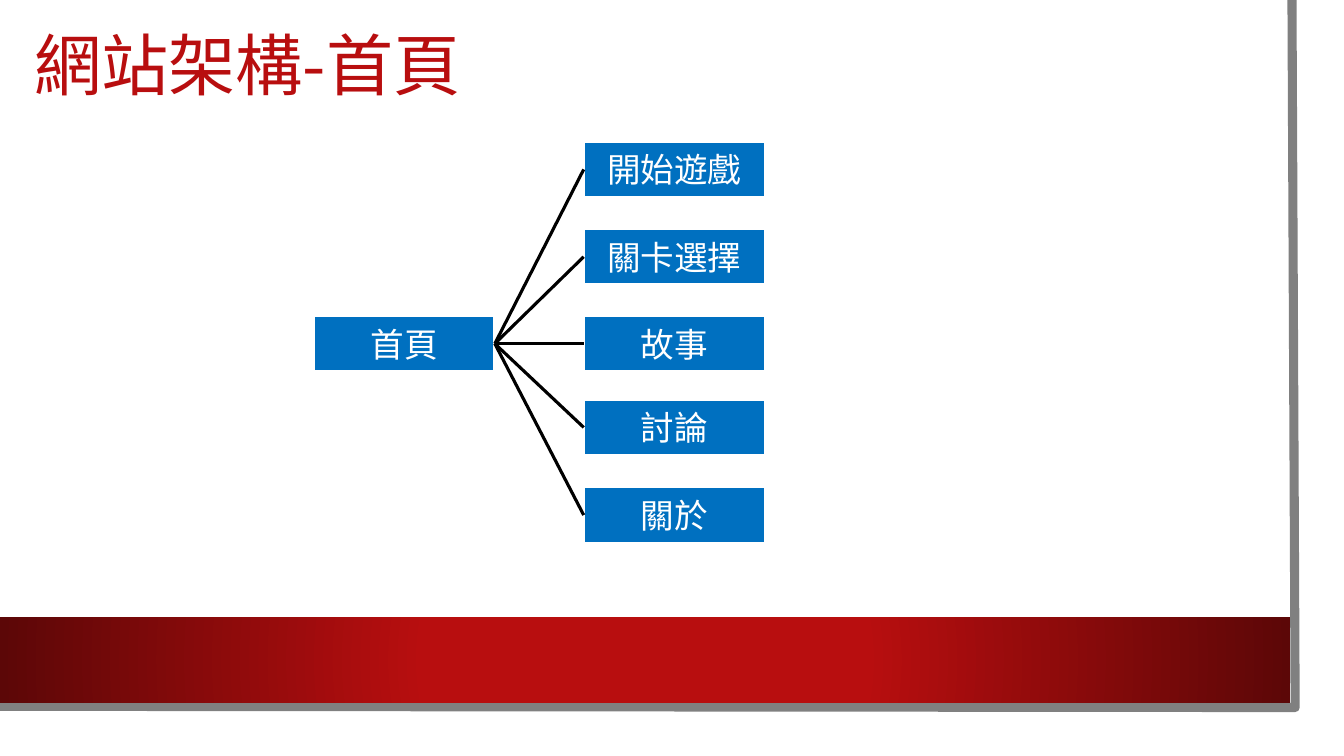
from lxml.etree import SubElement
from pptx import Presentation
from pptx.dml.color import RGBColor
from pptx.enum.shapes import MSO_CONNECTOR, MSO_SHAPE
from pptx.enum.text import MSO_ANCHOR, PP_ALIGN
from pptx.oxml.ns import qn
from pptx.util import Cm, Pt

COLORS = {
    "red": "B80E0F",
    "dark_red": "5C0707",
    "gray": "808080",
    "blue": "0070C0",
    "white": "FFFFFF",
    "black": "000000",
}
BRANCHES = [
    ("開始遊戲", 0),
    ("關卡選擇", 2.2),
    ("故事", 4.39),
    ("討論", 6.5),
    ("關於", 8.71),
]
NODE_WIDTH, NODE_HEIGHT = 4.57, 1.42


def color(name):
    """Return the named colour."""
    return RGBColor.from_string(COLORS[name])


def add_span(para, text, size, font, tint):
    """Add one formatted run to a paragraph."""
    span = para.add_run()
    span.text = text
    span.font.size = Pt(size)
    span.font.name = font
    span.font.color.rgb = color(tint)
    return span


def add_frame(page, left, top, width, height):
    """Draw the gray edge along the right and bottom of the box."""
    right, bottom = left + width, top + height
    builder = page.shapes.build_freeform(Cm(right - 0.08), Cm(top))
    corners = [(right, bottom), (left, bottom - 0.03)]
    builder.add_line_segments([(Cm(x), Cm(y)) for x, y in corners], close=False)
    edge = builder.convert_to_shape()
    edge.shadow.inherit = False
    edge.fill.background()
    edge.line.color.rgb = color("gray")
    edge.line.width = Pt(6.5)


def add_band(page, left, top, width, height):
    """Draw the footer band, red in the middle and darker towards its ends."""
    band = page.shapes.add_shape(
        MSO_SHAPE.RECTANGLE, Cm(left), Cm(top), Cm(width), Cm(height))
    band.shadow.inherit = False
    band.line.fill.background()
    band.fill.gradient()
    stops = [(0.34, "red"), (1, "dark_red")]
    for stop, (position, tint) in zip(band.fill.gradient_stops, stops):
        stop.position = position
        stop.color.rgb = color(tint)
    gradient = band._element.spPr.find(qn("a:gradFill"))
    gradient.remove(gradient.find(qn("a:lin")))
    radial = SubElement(gradient, qn("a:path"), path="circle")
    SubElement(radial, qn("a:fillToRect"), l="50000", t="50000", r="50000", b="50000")


def add_title(page, left, top, width, height):
    """Write the slide title."""
    box = page.shapes.add_textbox(Cm(left), Cm(top), Cm(width), Cm(height))
    box.text_frame.word_wrap = True
    box.text_frame.vertical_anchor = MSO_ANCHOR.MIDDLE
    para = box.text_frame.paragraphs[0]
    para.line_spacing = 0.9
    font = "Noto Sans CJK SC"
    span = add_span(para, "網站架構-首頁", 48, font, "red")
    SubElement(span.font._element, qn("a:ea"), typeface=font)


def add_node(page, text, left, top):
    """Draw one labelled page of the site map."""
    node = page.shapes.add_shape(
        MSO_SHAPE.FLOWCHART_PROCESS,
        Cm(left), Cm(top), Cm(NODE_WIDTH), Cm(NODE_HEIGHT))
    node.shadow.inherit = False
    node.fill.solid()
    node.fill.fore_color.rgb = color("blue")
    node.line.color.rgb = color("white")
    node.line.width = Pt(2)
    node.text_frame.vertical_anchor = MSO_ANCHOR.MIDDLE
    para = node.text_frame.paragraphs[0]
    para.alignment = PP_ALIGN.CENTER
    add_span(para, text, 24, "Arial Narrow", "white")


def add_link(page, start, end):
    """Draw a black line between two points."""
    link = page.shapes.add_connector(
        MSO_CONNECTOR.STRAIGHT, *[Cm(value) for value in (*start, *end)])
    link.line.color.rgb = color("black")
    link.line.width = Pt(2.25)
    SubElement(link._element.spPr, qn("a:effectLst"))


def add_site_map(page, left, top, width):
    """Draw the home page on the left, linked to its branches on the right."""
    branch_left = left + width - NODE_WIDTH
    half = NODE_HEIGHT / 2
    root_top = top + BRANCHES[2][1]
    add_node(page, "首頁", left, root_top)
    for text, offset in BRANCHES:
        add_node(page, text, branch_left, top + offset)
    for _, offset in BRANCHES:
        add_link(page, (branch_left, top + offset + half),
                 (left + NODE_WIDTH, root_top + half))


def main():
    """Build and save the deck."""
    deck = Presentation()
    deck.slide_width, deck.slide_height = Cm(33.87), Cm(19.05)
    page = deck.slides.add_slide(deck.slide_layouts[6])
    add_frame(page, -0.08, 0, 32.72, 17.83)
    add_band(page, 0, 15.55, 32.51, 2.16)
    add_title(page, 0.61, 0.13, 28.88, 3.2)
    add_site_map(page, 7.9, 3.56, 11.38)
    deck.save("out.pptx")


if __name__ == "__main__":
    main()
